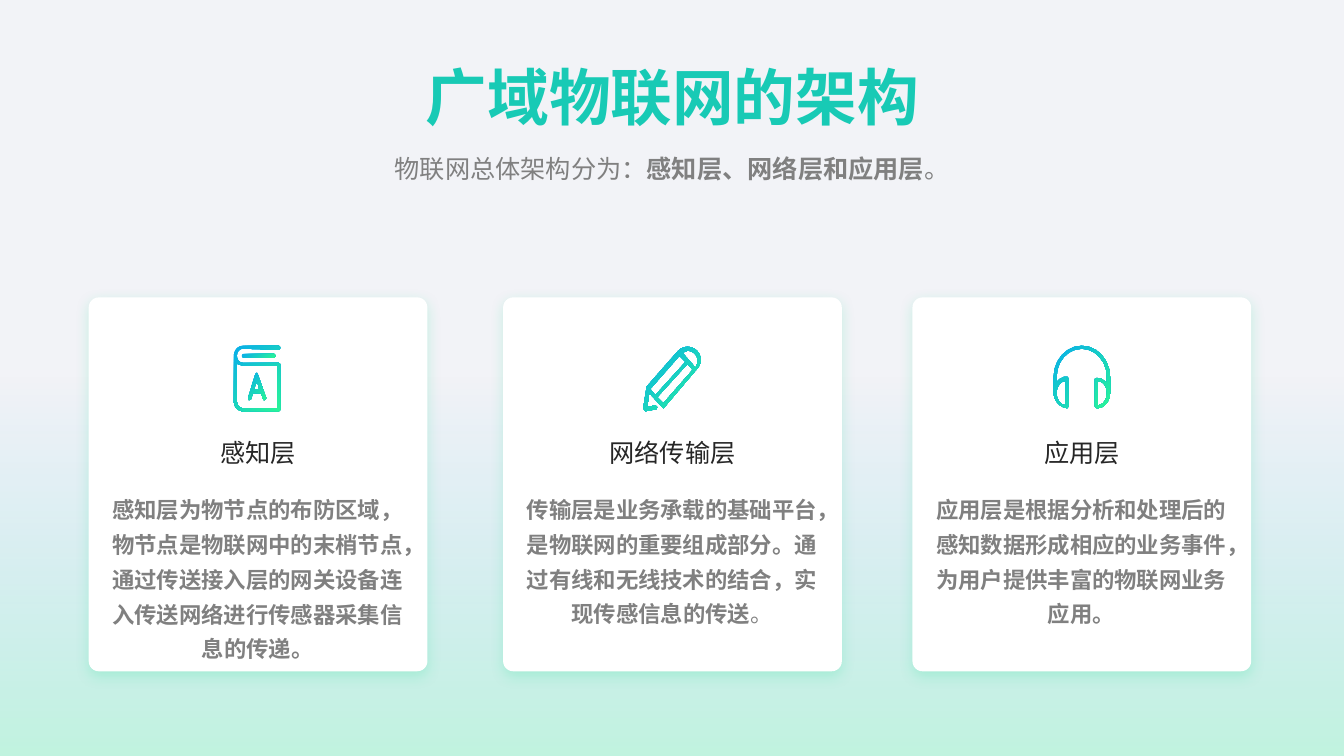
import math

from lxml import etree
from pptx import Presentation
from pptx import util as u
from pptx.dml.color import RGBColor
from pptx.enum import shapes, text
from pptx.oxml.ns import qn

BACKDROP = RGBColor(0xF2, 0xF3, 0xF7)
BLUE = RGBColor(0x08, 0xAE, 0xEA)
GREEN = RGBColor(0x2A, 0xF5, 0x98)
TEAL = RGBColor(0x18, 0xCA, 0xB5)
GREY = RGBColor(0x80, 0x80, 0x80)
INK = RGBColor(0x26, 0x26, 0x26)
WHITE = RGBColor(0xFF, 0xFF, 0xFF)
GLOW = RGBColor(0x0B, 0xDB, 0x8C)


def arc(cx, cy, rx, ry, start, end, steps=12):
    angles = [math.radians(start + (end - start) * i / steps) for i in range(steps + 1)]
    return [(cx + rx * math.cos(a), cy + ry * math.sin(a)) for a in angles]


BOOK_COVER = [
    [(2.76, 3.6), *arc(2.41, 3.53, 0.06, 0.07, 90, 270),
     *arc(2.76, 3.45, 0.02, 0.02, 90, -90),
     *arc(2.41, 3.53, 0.09, 0.1, 270, 180),
     *arc(2.41, 3.98, 0.09, 0.1, 180, 90),
     *arc(2.76, 4.06, 0.02, 0.02, 90, 0),
     *arc(2.76, 3.62, 0.02, 0.02, 0, -90)],
    [*arc(2.41, 3.98, 0.06, 0.07, 90, 180), (2.35, 3.61), (2.38, 3.62),
     (2.41, 3.63), (2.75, 3.63), (2.75, 4.05)],
]
BOOK_PAGE = [[*arc(2.42, 3.53, 0.02, 0.02, 270, 90), *arc(2.71, 3.53, 0.02, 0.02, 90, -90)]]
BOOK_LETTER = [
    [(2.47, 3.97), (2.49, 3.96), (2.51, 3.9), (2.59, 3.9), (2.61, 3.96), (2.62, 3.97),
     (2.64, 3.95), (2.56, 3.72), (2.55, 3.7), (2.54, 3.7), (2.53, 3.72), (2.46, 3.95)],
    [(2.55, 3.78), (2.57, 3.86), (2.52, 3.86)],
]
PENCIL = [
    [*arc(6.82, 3.57, 0.13, 0.13, -135, 45), (6.59, 4.04), (6.58, 4.05), (6.57, 4.04),
     (6.44, 3.9), (6.42, 4.04), (6.5, 4.02), (6.52, 4.04), (6.51, 4.06), (6.4, 4.08),
     (6.38, 4.05), (6.41, 3.86), (6.41, 3.84)],
    [(6.74, 3.53), (6.8, 3.59), (6.5, 3.92), (6.45, 3.86)],
    [(6.58, 4), (6.52, 3.94), (6.82, 3.61), (6.87, 3.67)],
    [(6.9, 3.65), (6.77, 3.5), *arc(6.82, 3.58, 0.1, 0.1, -90, 30)],
]
HEADPHONES = [
    [*arc(10.73, 3.74, 0.28, 0.31, 0, -180), *arc(10.6, 3.89, 0.15, 0.16, 180, 95),
     (10.6, 4.03), (10.6, 3.76), (10.59, 3.74), (10.55, 3.74), (10.51, 3.76), (10.48, 3.79),
     *arc(10.73, 3.74, 0.25, 0.28, 180, 360), (10.98, 3.8), (10.93, 3.76), (10.88, 3.75),
     (10.86, 3.76), (10.86, 4.03), *arc(10.88, 3.9, 0.13, 0.15, 90, 0)],
    arc(10.57, 3.9, 0.09, 0.12, 90, 270),
    arc(10.89, 3.9, 0.09, 0.12, -90, 90),
]

CARDS = [
    (0.88, 1.85, "感知层", [BOOK_COVER, BOOK_PAGE, BOOK_LETTER],
     [("感知层为物节点的布防区域，物节点是物联网中的末梢节点，"
       "通过传送接入层的网关设备连入传送网络进行传感器采集信息的传递。", True)]),
    (4.99, 1.5, "网络传输层", [PENCIL],
     [("传输层是业务承载的基础平台，是物联网的重要组成部分。"
       "通过有线和无线技术的结合，实现传感信息的传送", True), ("。", False)]),
    (9.05, 1.5, "应用层", [HEADPHONES],
     [("应用层是根据分析和处理后的感知数据形成相应的业务事件，"
       "为用户提供丰富的物联网业务应用。", True)]),
]


class Deck:
    font = "Noto Sans CJK SC"
    card_width = 3.36

    def __init__(self):
        self.prs = Presentation()
        self.prs.slide_width = u.Inches(13.33)
        self.prs.slide_height = u.Inches(7.5)
        self.slide = self.prs.slides.add_slide(self.prs.slide_layouts[6])
        self.slide.background.fill.solid()
        self.slide.background.fill.fore_color.rgb = BACKDROP
        self.shapes = self.slide.shapes

    def gradient(self, shape, angle):
        shape.shadow.inherit = False
        shape.line.fill.background()
        shape.fill.gradient()
        shape.fill.gradient_angle = 360 - angle
        for stop, color in zip(shape.fill.gradient_stops, (BLUE, GREEN)):
            stop.color.rgb = color

    def alpha(self, color_element, percent):
        etree.SubElement(color_element, qn("a:alpha"), val=str(percent * 1000))

    def haze(self):
        haze = self.shapes.add_shape(shapes.MSO_SHAPE.RECTANGLE, 0, u.Inches(3.66),
                                     u.Inches(13.33), u.Inches(3.84))
        self.gradient(haze, 90)
        for color, percent in zip(haze.element.spPr.iter(qn("a:srgbClr")), (0, 25)):
            self.alpha(color, percent)

    def panel(self, left):
        panel = self.shapes.add_shape(shapes.MSO_SHAPE.ROUNDED_RECTANGLE, u.Inches(left),
                                      u.Inches(2.95), u.Inches(self.card_width), u.Inches(3.71))
        panel.adjustments[0] = 0.03
        panel.fill.solid()
        panel.fill.fore_color.rgb = WHITE
        panel.line.fill.background()
        panel.shadow.inherit = False
        effects = panel.element.spPr.find(qn("a:effectLst"))
        glow = etree.SubElement(effects, qn("a:outerShdw"), blurRad=str(u.Pt(10)),
                                dist=str(u.Pt(3)), dir="5400000", algn="t", rotWithShape="0")
        self.alpha(etree.SubElement(glow, qn("a:srgbClr"), val=str(GLOW)), 20)

    def icon(self, contours):
        outlines = [[(u.Inches(x), u.Inches(y)) for x, y in contour] for contour in contours]
        builder = self.shapes.build_freeform(*outlines[0][0])
        builder.add_line_segments(outlines[0][1:])
        for hole in outlines[1:]:
            builder.move_to(*hole[0])
            builder.add_line_segments(hole[1:])
        self.gradient(builder.convert_to_shape(), 45)

    def label(self, box, parts, size, color, spacing=None, wrap=True):
        frame = self.shapes.add_textbox(*map(u.Inches, box)).text_frame
        frame.word_wrap = wrap
        frame.auto_size = text.MSO_AUTO_SIZE.SHAPE_TO_FIT_TEXT
        paragraph = frame.paragraphs[0]
        paragraph.alignment = text.PP_ALIGN.CENTER
        paragraph.line_spacing = spacing
        for words, bold in parts:
            run = paragraph.add_run()
            run.text = words
            run.font.size = u.Pt(size)
            run.font.bold = bold
            run.font.color.rgb = color
            run.font.name = self.font
            etree.SubElement(run._r.get_or_add_rPr(), qn("a:ea"), typeface=self.font)

    def card(self, left, body_height, heading, icons, body):
        self.shapes = self.slide.shapes.add_group_shape().shapes
        self.panel(left)
        for contours in icons:
            self.icon(contours)
        width = 0.25 * len(heading) + 0.2
        heading_left = left + (self.card_width - width) / 2
        self.label((heading_left, 4.29, width, 0.4), [(heading, False)], 18, INK, wrap=False)
        self.label((left + 0.05, 4.79, 3.25, body_height), body, 16, GREY, 1.3)
        self.shapes = self.slide.shapes


def main():
    deck = Deck()
    deck.haze()
    deck.label((3.8, 0.54, 5.74, 0.84), [("广域物联网的架构", True)], 44, TEAL)
    summary = [("物联网总体架构分为：", False), ("感知层、网络层和应用层", True), ("。", False)]
    deck.label((2.46, 1.38, 8.41, 0.49), summary, 18, GREY, 1.3)
    for card in CARDS:
        deck.card(*card)
    deck.prs.save("out.pptx")


if __name__ == "__main__":
    main()
